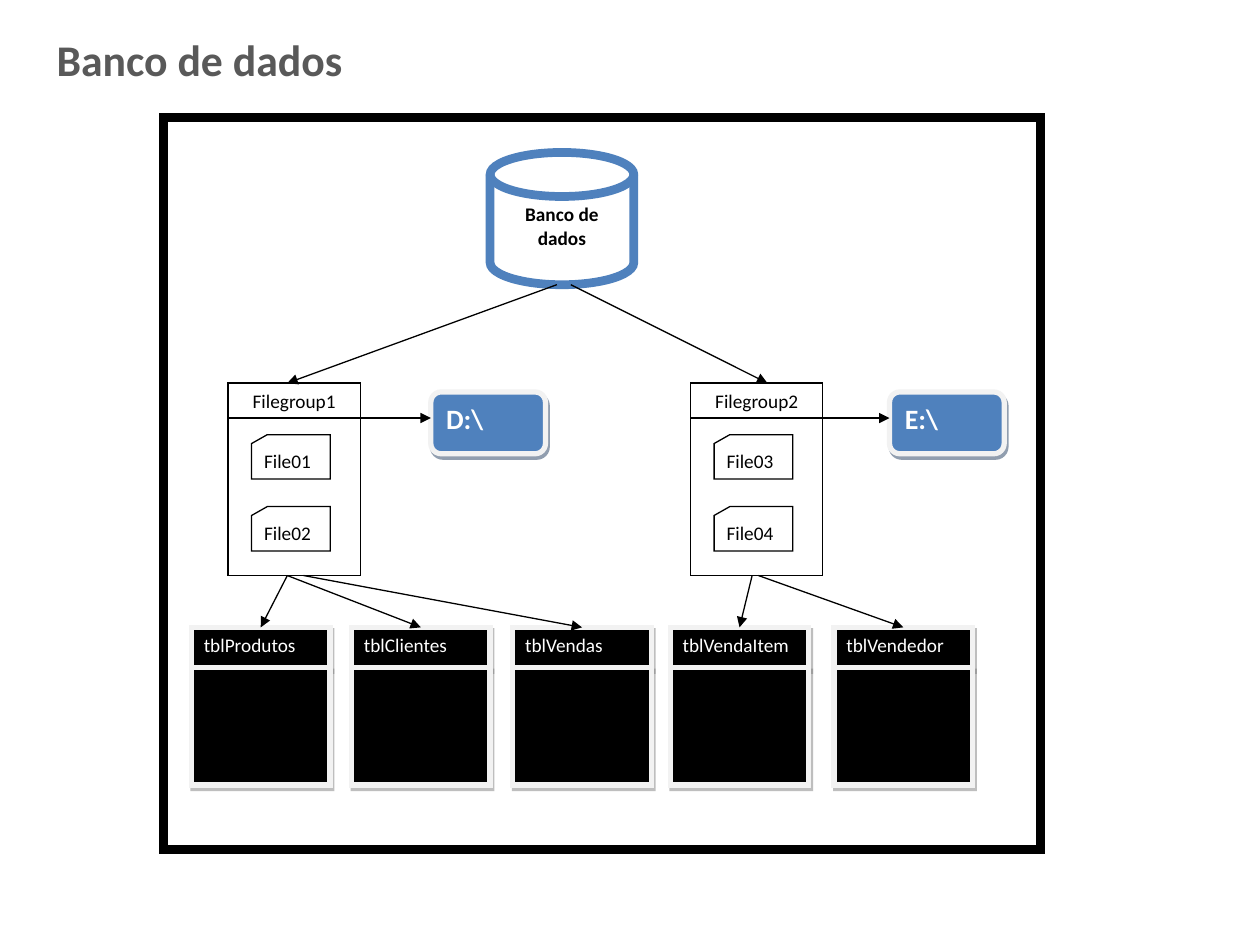
import pptx
import pptx.util
from pptx.dml.color import RGBColor
from pptx.enum.shapes import MSO_CONNECTOR, MSO_SHAPE
from pptx.enum.text import MSO_ANCHOR, PP_ALIGN
from pptx.oxml.ns import qn
from lxml import etree

Pt = pptx.util.Pt

# Content (lengths in points)
TITLE = "Banco de dados"
DATABASE = "Banco de dados"
FILEGROUPS = [
    {"name": "Filegroup1", "left": 130.3, "files": ["File01", "File02"],
     "drive": "D:\\", "drive_left": 246.2, "entry": 164.2, "exit": 318.2},
    {"name": "Filegroup2", "left": 394.6, "files": ["File03", "File04"],
     "drive": "E:\\", "drive_left": 508.3, "entry": 438.5, "exit": 326.2},
]
# Name, left edge, x of the arrow's start
TABLES = [
    ("tblProdutos", 109.4, 164.2),
    ("tblClientes", 200.9, 164.2),
    ("tblVendas", 293, 173.5),
    ("tblVendaItem", 383, 429.8),
    ("tblVendedor", 476.6, 433.4),
]
COLORS = {"black": "000000", "white": "FFFFFF", "blue": "4F81BD", "pale": "F2F2F2",
          "title": "595959", "blue_shadow": "243F60", "gray_shadow": "7F7F7F"}
FONT = "Calibri"

# Shared measures
DATABASE_BOTTOM = 162.7
GROUP_TOP, GROUP_WIDTH, GROUP_HEADER, GROUP_BODY = 218.9, 75.6, 20, 90
DIVIDER = GROUP_TOP + GROUP_HEADER
GROUP_BOTTOM = DIVIDER + GROUP_BODY
FILE_INSET, FILE_TOP, FILE_STEP = 13.5, 248.4, 41.1
TABLE_TOP, TABLE_WIDTH, TABLE_HEADER, TABLE_BODY = 358.5, 79.2, 23.1, 67


def color(name):
    return RGBColor.from_string(COLORS[name])


def write(shape, text, size, font_color, bold=False, align=PP_ALIGN.LEFT, after=10):
    frame = shape.text_frame
    frame.word_wrap = True
    frame.vertical_anchor = MSO_ANCHOR.TOP
    frame.text = text
    paragraph = frame.paragraphs[0]
    paragraph.alignment = align
    paragraph.space_after = Pt(after)
    font = paragraph.runs[0].font
    font.name, font.size, font.bold = FONT, Pt(size), bold
    font.color.rgb = color(font_color)


def add_box(shapes, kind, box, fill="white", line="black", width=0.75, shadow=None):
    shape = shapes.add_shape(kind, *(Pt(length) for length in box))
    shape.fill.solid()
    shape.fill.fore_color.rgb = color(fill)
    shape.line.color.rgb = color(line)
    shape.line.width = Pt(width)
    etree.SubElement(shape.line._get_or_add_ln(), qn("a:miter"), lim="800000")
    shape.shadow.inherit = False
    if shadow:
        effects = shape.element.spPr.find(qn("a:effectLst"))
        outer = etree.SubElement(effects, qn("a:outerShdw"), blurRad="0",
                                 dist=str(Pt(2.2)), dir=str(63 * 60000),
                                 algn="ctr", rotWithShape="0")
        tint = etree.SubElement(outer, qn("a:srgbClr"), val=COLORS[shadow])
        etree.SubElement(tint, qn("a:alpha"), val="50000")
    return shape


def add_arrow(shapes, *ends):
    arrow = shapes.add_connector(MSO_CONNECTOR.STRAIGHT, *(Pt(end) for end in ends))
    arrow.line.color.rgb = color("black")
    arrow.line.width = Pt(0.75)
    etree.SubElement(arrow.line._get_or_add_ln(), qn("a:tailEnd"), type="triangle")
    etree.SubElement(arrow.element.spPr, qn("a:effectLst"))


presentation = pptx.Presentation()
presentation.slide_width, presentation.slide_height = Pt(720), Pt(540)
slide = presentation.slides.add_slide(presentation.slide_layouts[5])
shapes = slide.shapes

# Title
title = shapes.title
title.left, title.top, title.width, title.height = Pt(25.2), Pt(15.1), Pt(187.2), Pt(37.4)
write(title, TITLE, 25, "title", bold=True, after=0)

# Frame
add_box(shapes, MSO_SHAPE.RECTANGLE, (93.6, 67, 501.1, 418.3), width=5)

# Filegroups with their files and drives
for filegroup in FILEGROUPS:
    left = filegroup["left"]
    group = shapes.add_group_shape().shapes
    header = add_box(group, MSO_SHAPE.RECTANGLE, (left, GROUP_TOP, GROUP_WIDTH, GROUP_HEADER))
    write(header, filegroup["name"], 11, "black", align=PP_ALIGN.CENTER)
    add_box(group, MSO_SHAPE.RECTANGLE, (left, DIVIDER, GROUP_WIDTH, GROUP_BODY))
    for row, name in enumerate(filegroup["files"]):
        card = add_box(group, MSO_SHAPE.FLOWCHART_CARD,
                       (left + FILE_INSET, FILE_TOP + row * FILE_STEP, 44.9, 25.4))
        write(card, name, 11, "black")
    drive = add_box(shapes, MSO_SHAPE.ROUNDED_RECTANGLE, (filegroup["drive_left"], 224, 65.5, 35.3),
                    "blue", "pale", 3, "blue_shadow")
    write(drive, filegroup["drive"], 16, "white", bold=True)
    add_arrow(shapes, left + GROUP_WIDTH, DIVIDER, filegroup["drive_left"], DIVIDER)

# Tables
for name, left, start in TABLES:
    group = shapes.add_group_shape().shapes
    style = ("black", "pale", 3, "gray_shadow")
    header = add_box(group, MSO_SHAPE.RECTANGLE, (left, TABLE_TOP, TABLE_WIDTH, TABLE_HEADER), *style)
    write(header, name, 11, "white")
    add_box(group, MSO_SHAPE.RECTANGLE,
            (left, TABLE_TOP + TABLE_HEADER, TABLE_WIDTH, TABLE_BODY), *style)

for name, left, start in TABLES:
    add_arrow(shapes, start, GROUP_BOTTOM, left + TABLE_WIDTH / 2, TABLE_TOP)

# Database
disk = add_box(shapes, MSO_SHAPE.FLOWCHART_MAGNETIC_DISK, (280.1, 87.1, 82.1, 75.6),
               line="blue", width=5)
write(disk, DATABASE, 11, "black", bold=True, align=PP_ALIGN.CENTER)
for filegroup in FILEGROUPS:
    add_arrow(shapes, filegroup["exit"], DATABASE_BOTTOM, filegroup["entry"], GROUP_TOP)

presentation.save("out.pptx")
